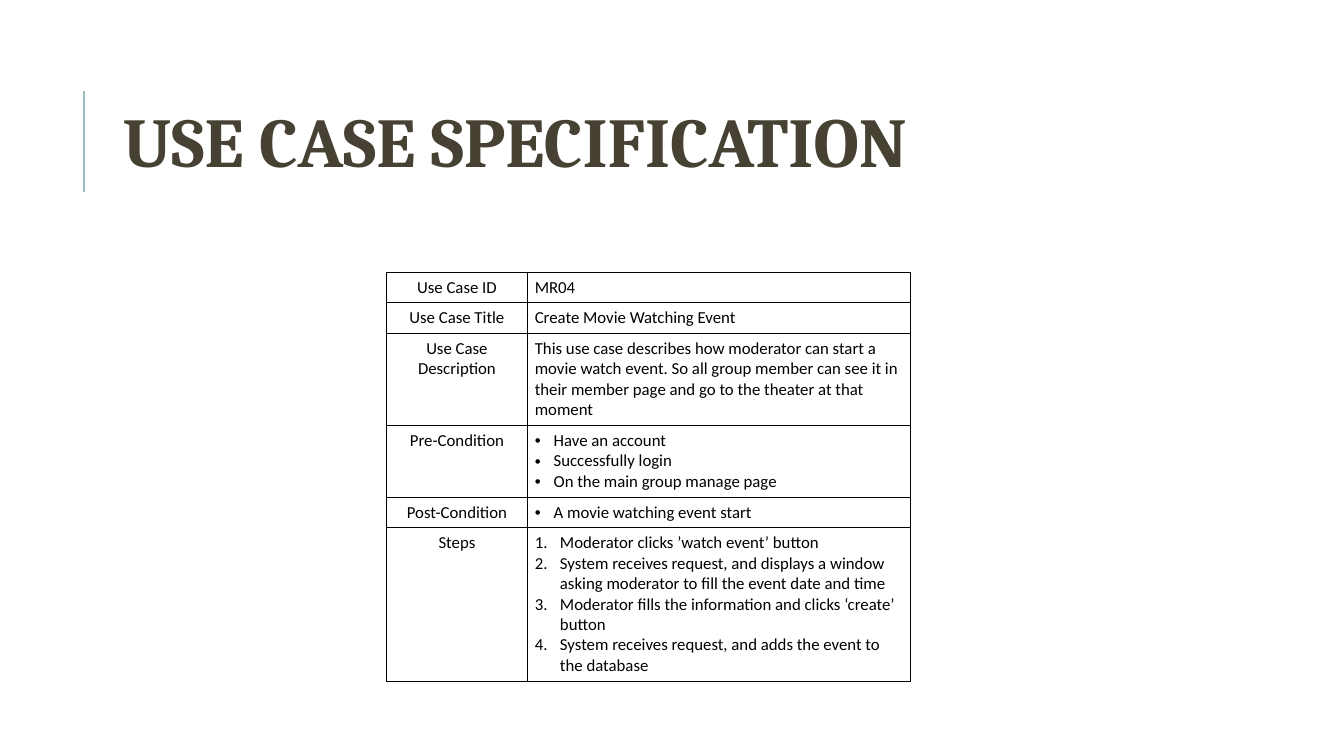
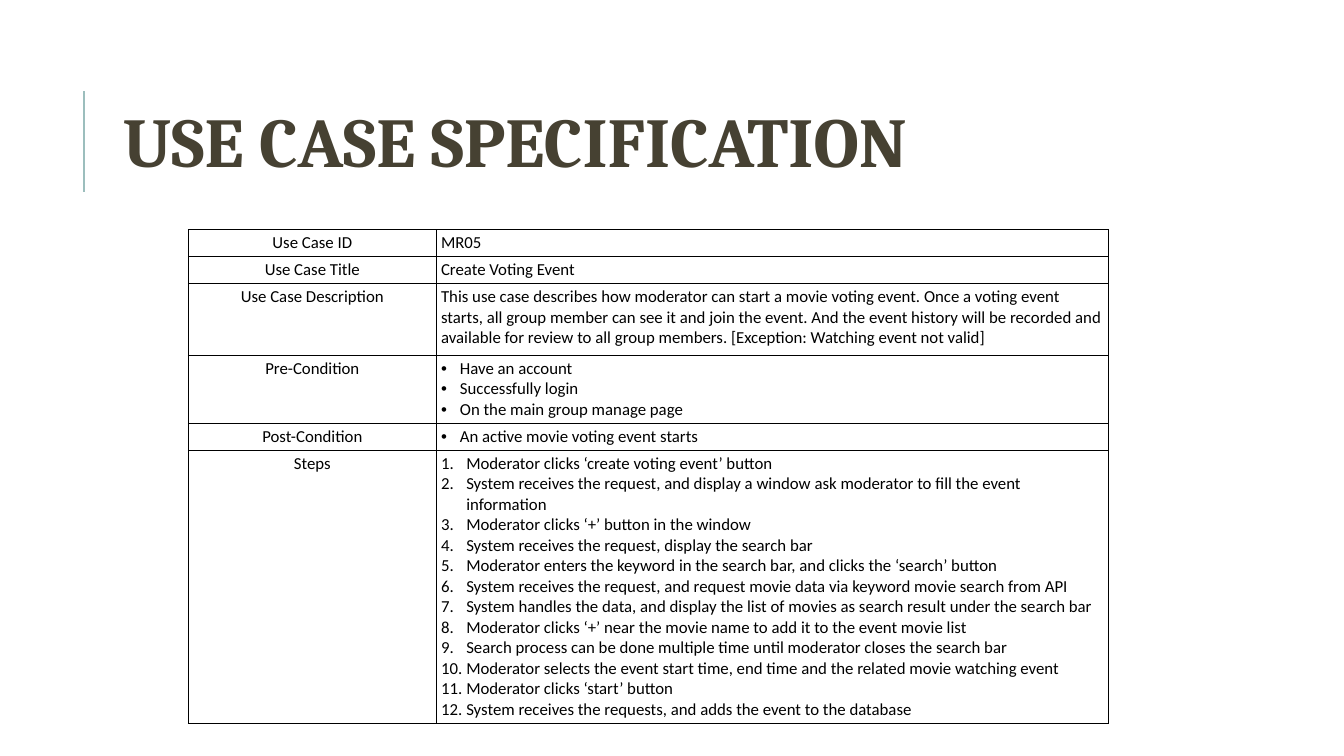
import pptx
import pptx.dml.color
import pptx.enum.shapes
import pptx.enum.text
import pptx.oxml
import pptx.oxml.ns
import pptx.util

Pt = pptx.util.Pt
ALIGN = pptx.enum.text.PP_ALIGN
BLACK = "000000"
BROWN = "464132"
TEAL = "9CBEBD"
NS = pptx.oxml.ns.nsdecls("a")

LABELS = ["Use Case ID", "Use Case Title", "Use Case Description",
          "Pre-Condition", "Post-Condition", "Steps"]
LIST_STYLES = {
    "Pre-Condition": (13.5, '<a:buChar %s char="•"/>'),
    "Post-Condition": (13.5, '<a:buChar %s char="•"/>'),
    "Steps": (18, '<a:buAutoNum %s type="arabicPeriod"/>'),
}

WATCHING_EVENT = [
    ["MR04"],
    ["Create Movie Watching Event"],
    ["This use case describes how moderator can start a movie watch event. "
     "So all group member can see it in their member page and go to the "
     "theater at that moment"],
    ["Have an account", "Successfully login", "On the main group manage page"],
    ["A movie watching event start"],
    ["Moderator clicks ’watch event’ button",
     "System receives request, and displays a window asking moderator to fill "
     "the event date and time",
     "Moderator fills the information and clicks ‘create’ button",
     "System receives request, and adds the event to the database"],
]

VOTING_EVENT = [
    ["MR05"],
    ["Create Voting Event"],
    ["This use case describes how moderator can start a movie voting event. "
     "Once a voting event starts, all group member can see it and join the "
     "event. And the event history will be recorded and available for review "
     "to all group members. [Exception: Watching event not valid]"],
    ["Have an account", "Successfully login", "On the main group manage page"],
    ["An active movie voting event starts"],
    ["Moderator clicks ‘create voting event’ button",
     "System receives the request, and display a window ask moderator to fill "
     "the event information",
     "Moderator clicks ‘+’ button in the window",
     "System receives the request, display the search bar",
     "Moderator enters the keyword in the search bar, and clicks the ‘search’ "
     "button",
     "System receives the request, and request movie data via keyword movie "
     "search from API",
     "System handles the data, and display the list of movies as search "
     "result under the search bar",
     "Moderator clicks ‘+’ near the movie name to add it to the event movie "
     "list",
     "Search process can be done multiple time until moderator closes the "
     "search bar",
     "Moderator selects the event start time, end time and the related movie "
     "watching event",
     "Moderator clicks ‘start’ button",
     "System receives the requests, and adds the event to the database"],
]


def color(value):
    return pptx.dml.color.RGBColor.from_string(value)


def format_text(p, font, size, value, bold=False):
    for r in p.runs:
        r.font.name = font
        r.font.size = Pt(size)
        r.font.bold = bold
        r.font.color.rgb = color(value)


def add_title_rule(s):
    line = s.shapes.add_connector(
        pptx.enum.shapes.MSO_CONNECTOR.STRAIGHT,
        Pt(60), Pt(137), Pt(60), Pt(65))
    line.line.color.rgb = color(TEAL)
    line.line.width = Pt(1.5)
    line.element.spPr.append(pptx.oxml.parse_xml(f"<a:effectLst {NS}/>"))


def add_slide(prs, title):
    s = prs.slides.add_slide(prs.slide_layouts[5])
    add_title_rule(s)
    sp = s.shapes.title
    sp.left, sp.top, sp.width, sp.height = Pt(80.5), Pt(46), Pt(765.5), Pt(118)
    tf = sp.text_frame
    tf.text = title
    tf.auto_size = pptx.enum.text.MSO_AUTO_SIZE.NONE
    tf.vertical_anchor = pptx.enum.text.MSO_ANCHOR.MIDDLE
    p = tf.paragraphs[0]
    p.alignment = ALIGN.LEFT
    p.line_spacing = 0.8
    format_text(p, "Cambria", 50, BROWN, bold=True)
    return s


def add_bullet(p, indent, marker):
    pPr = p._p.get_or_add_pPr()
    pPr.set("marL", str(Pt(indent)))
    pPr.set("indent", str(-Pt(indent)))
    for xml in (f'<a:buClr {NS}><a:srgbClr val="{BLACK}"/></a:buClr>',
                f'<a:buFont {NS} typeface="Arial"/>' if "buChar" in marker
                else f'<a:buFont {NS} typeface="+mj-lt"/>',
                marker % NS):
        pPr.append(pptx.oxml.parse_xml(xml))


def format_cell(cell, inset_x, inset_y):
    cell.margin_left = cell.margin_right = Pt(inset_x)
    cell.margin_top = cell.margin_bottom = Pt(inset_y)
    tcPr = cell._tc.get_or_add_tcPr()
    for side in "LRTB":
        tcPr.append(pptx.oxml.parse_xml(
            f'<a:ln{side} {NS} w="{Pt(0.75)}"><a:solidFill>'
            f'<a:srgbClr val="{BLACK}"/></a:solidFill></a:ln{side}>'))
    cell.fill.background()


def fill_cell(cell, lines, alignment, list_style=None):
    tf = cell.text_frame
    tf.text = "\n".join(lines)
    for p in tf.paragraphs:
        p.alignment = alignment
        format_text(p, "Calibri", 12, BLACK)
        if list_style:
            add_bullet(p, *list_style)


def add_use_case_table(s, left, top, widths, heights, insets, details):
    table = s.shapes.add_table(
        len(LABELS), 2, Pt(left), Pt(top),
        Pt(sum(widths)), Pt(sum(heights))).table
    table.first_row = table.horz_banding = False
    for column, width in zip(table.columns, widths):
        column.width = Pt(width)
    for row, height, label, lines in zip(table.rows, heights, LABELS, details):
        row.height = Pt(height)
        label_cell, detail_cell = row.cells
        fill_cell(label_cell, [label], ALIGN.CENTER)
        fill_cell(detail_cell, lines, ALIGN.LEFT, LIST_STYLES.get(label))
        for cell in row.cells:
            format_cell(cell, *insets)


def main():
    prs = pptx.Presentation()
    prs.slide_width, prs.slide_height = Pt(960), Pt(540)
    title = "USE CASE SPECIFICATION"
    add_use_case_table(add_slide(prs, title), 276, 194.4, (100.8, 273.6),
                       (21.8, 21.8, 65.8, 51, 21.8, 109.8), (5.2, 3.6),
                       WATCHING_EVENT)
    add_use_case_table(add_slide(prs, title), 134.6, 164, (177.1, 480.2),
                       (19.3, 19.3, 51.2, 48.6, 19.3, 195), (3.4, 2.3),
                       VOTING_EVENT)
    prs.save("out.pptx")


if __name__ == "__main__":
    main()
